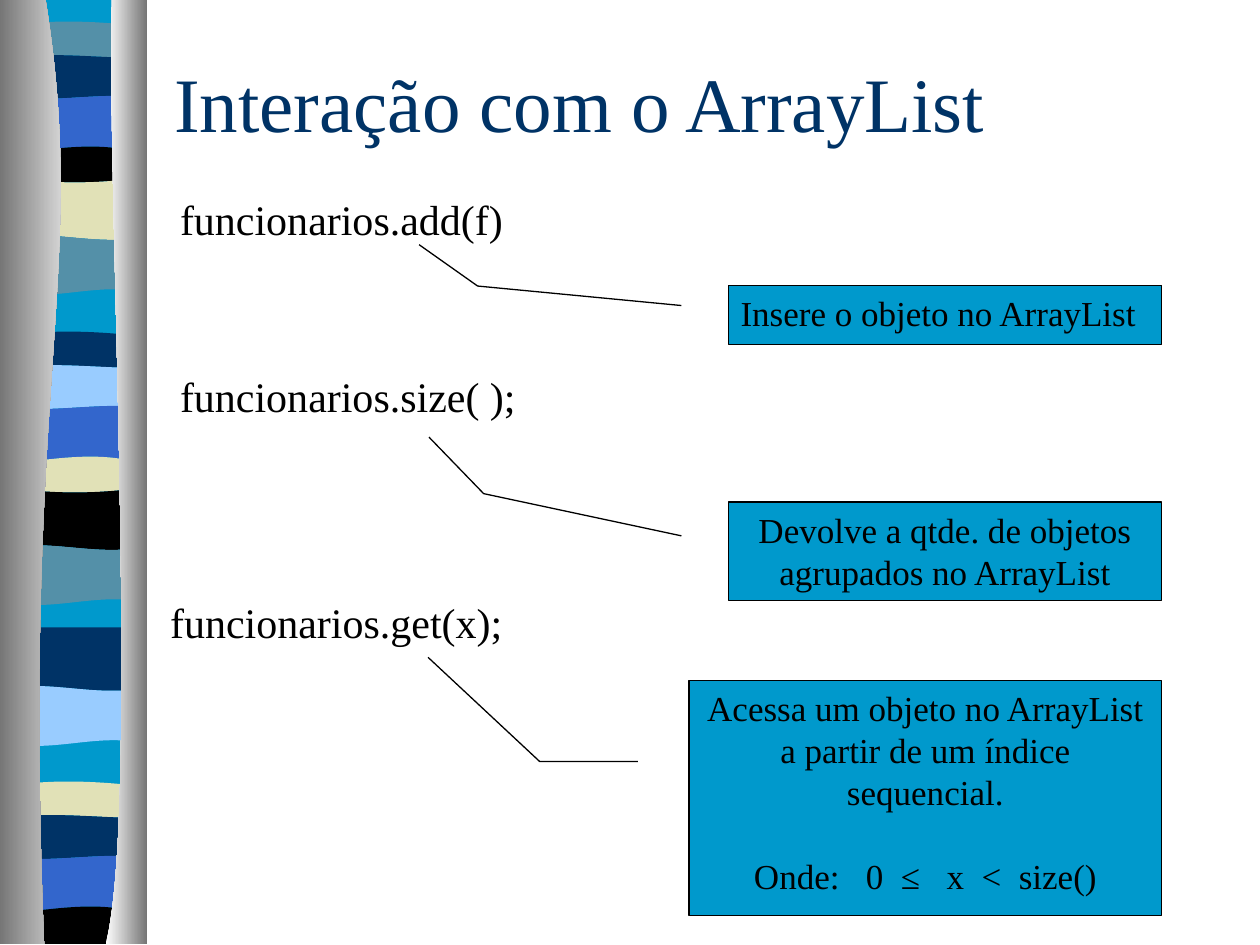
from collections import namedtuple
from dataclasses import dataclass

from lxml import etree
from pptx import Presentation
from pptx import util as u
from pptx.dml.color import RGBColor
from pptx.enum import shapes, text
from pptx.oxml.ns import qn

Box = namedtuple("Box", "left top width height")


@dataclass(frozen=True)
class Theme:
    font: str = "Times New Roman"
    title_size: int = 44
    call_size: int = 24
    note_size: int = 20
    ink: str = "000000"
    navy: str = "003366"
    cyan: str = "0099CC"
    teal: str = "5490A8"
    blue: str = "3366CC"
    sky: str = "99CCFF"
    cream: str = "E1E1B7"
    grey: str = "767676"
    white: str = "FFFFFF"


THEME = Theme()

# Edge of a stripe: height in its cycle, then the bend of its two control points
EDGES = {
    "crest": (0.53, -0.15, -0.1),
    "dip": (1.17, -0.13, 0),
    "wave": (1.96, 0.12, -0.1),
    "arch": (3.1, -0.08, -0.28),
    "level": (3.56, 0, 0),
    "sag": (3.58, 0.13, 0.13),
    "floor": (3.71, 0, 0),
    "swell": (4.78, -0.15, 0.18),
    "ripple": (5.89, 0.2, -0.2),
}
FULL_CYCLE = ("crest", "dip", "wave", "arch", "sag", "swell", "ripple")

# Cycles of stripes: offset, edges from top to bottom, colours between the edges
CYCLES = [
    (0, FULL_CYCLE, ("teal", "navy", "blue", "ink", "cream", "teal")),
    (6.25, FULL_CYCLE, ("navy", "sky", "blue", "cream", "ink", "teal")),
    (9.09, ("level", "swell", "ripple"), ("navy", "sky")),
    (15.32, ("crest", "dip", "wave", "arch", "floor"),
     ("cream", "navy", "blue", "ink")),
]

CALLS = [
    ("funcionarios.add(f)", 3.38, 3.77),
    ("funcionarios.size( );", 3.38, 7.34),
    ("funcionarios.get(x);", 3.18, 11.91),
]

# Explanations: box, leader bends as (y, x) shares of the box, alignment, wording
NOTES = [
    (Box(14.68, 5.75, 8.74, 1.19), (0.345, -0.108, 0.015, -0.578, -0.687, -0.713),
     text.PP_ALIGN.LEFT, "Insere o objeto no ArrayList"),
    (Box(14.68, 10.12, 8.74, 1.98), (0.345, -0.108, -0.085, -0.564, -0.66, -0.69),
     text.PP_ALIGN.CENTER, "Devolve a qtde. de objetos agrupados no ArrayList"),
    (Box(13.89, 13.72, 9.53, 4.73), (0.345, -0.108, 0.345, -0.316, -0.099, -0.552),
     text.PP_ALIGN.CENTER,
     "Acessa um objeto no ArrayList a partir de um índice sequencial."),
]
# Parts of the index range, each with the extra points of space after it
INDEX_RANGE = [("Onde:", 10), ("0", 5), ("≤", 10), ("x", 5), ("<", 5), ("size()", 0)]


def rgb(value):
    return RGBColor.from_string(value)


def in_cm(box):
    return [u.Cm(length) for length in box]


def style(paragraph, size, color):
    paragraph.font.name = THEME.font
    paragraph.font.size = u.Pt(size)
    paragraph.font.color.rgb = rgb(color)


def add_outline(slide, box, points, curve_starts=()):
    """Closed shape in cm from the corner of the box; a curve takes four points."""
    placed = [(u.Cm(box.left + x), u.Cm(box.top + y)) for x, y in points]
    builder = slide.shapes.build_freeform(*placed[0])
    builder.add_line_segments(placed[1:], close=True)
    outline = builder.convert_to_shape()
    outline.shadow.inherit = False
    outline.line.fill.background()
    segments = list(outline._element.iter(qn("a:lnTo")))
    for start in curve_starts:
        curve = etree.Element(qn("a:cubicBezTo"))
        segments[start].addprevious(curve)
        for segment in segments[start:start + 3]:
            curve.append(segment[0])
            segment.getparent().remove(segment)
    return outline


def add_stripes(slide, box):
    def edge(name, offset):
        height, *bends = EDGES[name]
        return [(box.width * i / 3, offset + height + bend)
                for i, bend in enumerate((0, *bends, 0))]

    backdrop = [(0, 0), (box.width, 0), (box.width, box.height), (0, box.height)]
    stripes = [(backdrop, (), THEME.cyan)]
    for offset, names, colors in CYCLES:
        for upper, lower, color in zip(names, names[1:], colors):
            points = edge(upper, offset) + edge(lower, offset)[::-1]
            stripes.append((points, (0, 4), getattr(THEME, color)))
    for points, curve_starts, color in stripes:
        stripe = add_outline(slide, box, points, curve_starts)
        stripe.fill.solid()
        stripe.fill.fore_color.rgb = rgb(color)


def add_columns(slide, box):
    """Two shaded columns whose inner sides curve beside the stripes."""
    h = box.height
    left_curve = [(0.92, 0), (1.8, 5.5), (0.43, 7.54), (0.89, h)]
    right_curve = [(2.26, 0), (2.13, 3.2), (2.84, 16.43), (2.13, h)]
    columns = [
        (left_curve, 0, THEME.grey, THEME.white),
        (right_curve, box.width, THEME.white, THEME.grey),
    ]
    for curve, outer, start, end in columns:
        column = add_outline(slide, box, curve + [(outer, h), (outer, 0)], (0,))
        column.fill.gradient()
        column.fill.gradient_angle = 0
        for stop, color, position in zip(column.fill.gradient_stops, (start, end), (0, 1)):
            stop.color.rgb = rgb(color)
            stop.position = position


def add_ribbon(slide, box):
    add_stripes(slide, Box(box.left + 0.15, box.top, 2.72, box.height))
    add_columns(slide, box)


def add_title(slide, box, wording):
    title = slide.shapes.title
    title.left, title.top, title.width, title.height = in_cm(box)
    frame = title.text_frame
    frame.text = wording
    frame.vertical_anchor = text.MSO_ANCHOR.MIDDLE
    frame.paragraphs[0].alignment = text.PP_ALIGN.LEFT
    style(frame.paragraphs[0], THEME.title_size, THEME.navy)


def add_call(slide, box, code):
    frame = slide.shapes.add_textbox(*in_cm(box)).text_frame
    frame.word_wrap = True
    frame.text = code
    style(frame.paragraphs[0], THEME.call_size, THEME.ink)


def add_note(slide, box, leader, alignment, wording):
    note = slide.shapes.add_shape(shapes.MSO_SHAPE.LINE_CALLOUT_2, *in_cm(box))
    for index, share in enumerate(leader):
        note.adjustments[index] = share
    note.shadow.inherit = False
    note.fill.solid()
    note.fill.fore_color.rgb = rgb(THEME.cyan)
    note.line.color.rgb = rgb(THEME.ink)
    note.line.width = u.Pt(0.75)
    frame = note.text_frame
    frame.word_wrap = True
    frame.vertical_anchor = text.MSO_ANCHOR.TOP
    frame.text = wording
    frame.paragraphs[0].alignment = alignment
    style(frame.paragraphs[0], THEME.note_size, THEME.ink)
    return note


def add_index_range(note):
    paragraph = note.text_frame.add_paragraph()
    paragraph.alignment = text.PP_ALIGN.CENTER
    paragraph.space_before = u.Pt(24)
    style(paragraph, THEME.note_size, THEME.ink)
    for part, extra in INDEX_RANGE:
        paragraph.add_run().text = part
        if extra:
            gap = paragraph.add_run()
            gap.text = " "
            gap.font._element.set("spc", str(extra * 100))


def main():
    deck = Presentation()
    deck.slide_width, deck.slide_height = u.Cm(25.4), u.Cm(19.05)
    slide = deck.slides.add_slide(deck.slide_layouts.get_by_name("Title Only"))
    add_ribbon(slide, Box(0, 0, 2.96, 19.03))
    add_title(slide, Box(3.26, 0.8, 21.59, 2.49), "Interação com o ArrayList")
    for code, left, top in CALLS:
        add_call(slide, Box(left, top, 8.53, 1.3), code)
    notes = [add_note(slide, *note) for note in NOTES]
    add_index_range(notes[-1])
    deck.save("out.pptx")


if __name__ == "__main__":
    main()
